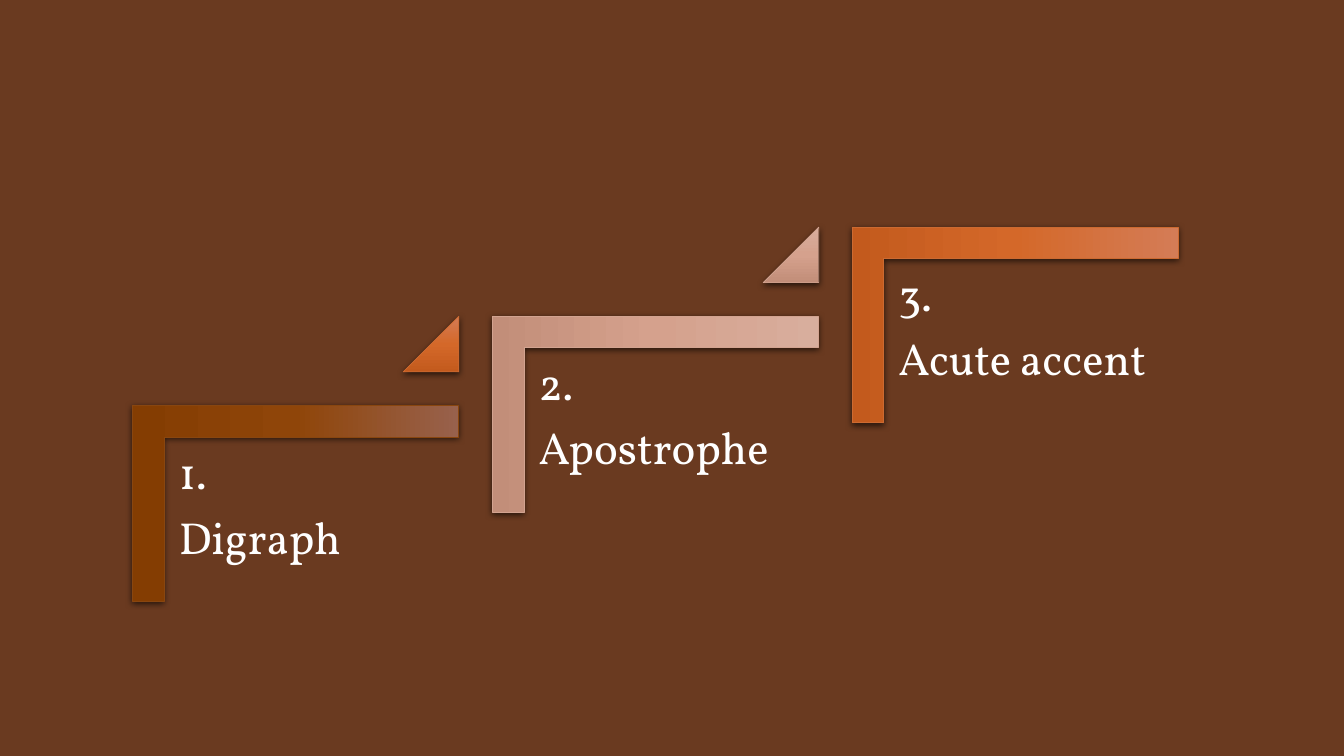
import dataclasses

import pptx
import pptx.dml.color
import pptx.enum.shapes
import pptx.enum.text
import pptx.oxml
import pptx.oxml.ns
import pptx.shapes.autoshape
import pptx.slide
import pptx.util

Pt = pptx.util.Pt
RGBColor = pptx.dml.color.RGBColor
MSO_SHAPE = pptx.enum.shapes.MSO_SHAPE

BACKGROUND = RGBColor(0x6A, 0x3A, 0x20)
WHITE = RGBColor(0xFF, 0xFF, 0xFF)
FONT = "Vollkorn"
NAMESPACE = pptx.oxml.ns.nsdecls("a")

FIRST_LEFT, FIRST_TOP = 141.12, 243.2
STEP_ACROSS, STEP_UP = 257.04, 63.72
CORNER_WIDTH, CORNER_HEIGHT = 139.8, 232.6
CORNER_THICKNESS = 0.161
TRIANGLE_SIZE = 39.6


@dataclasses.dataclass(frozen=True)
class Palette:
    top: RGBColor
    middle: RGBColor
    bottom: RGBColor
    outline: RGBColor


@dataclasses.dataclass(frozen=True)
class Step:
    number: str
    label: str
    palette: Palette


BROWN = Palette(RGBColor(0x98, 0x61, 0x4C), RGBColor(0x8F, 0x45, 0x09),
                RGBColor(0x84, 0x3D, 0x02), RGBColor(0x89, 0x46, 0x0F))
ORANGE = Palette(RGBColor(0xD4, 0x7C, 0x56), RGBColor(0xD4, 0x68, 0x29),
                 RGBColor(0xC3, 0x5A, 0x1D), RGBColor(0xCC, 0x6A, 0x31))
ROSE = Palette(RGBColor(0xD8, 0xAE, 0x9D), RGBColor(0xD5, 0xA1, 0x8D),
               RGBColor(0xC2, 0x8E, 0x79), RGBColor(0xD2, 0xA3, 0x90))

STEPS = [
    Step("1.", "Digraph", BROWN),
    Step("2.", "Apostrophe", ROSE),
    Step("3.", "Acute accent", ORANGE),
]


def apply_palette(shape: pptx.shapes.autoshape.Shape, palette: Palette) -> None:
    """Give the shape a three-stop gradient, a thin outline and a soft shadow."""
    colors = (palette.top, palette.middle, palette.bottom)
    stops = "".join(
        f'<a:gs pos="{index * 50000}"><a:srgbClr val="{color}"/></a:gs>'
        for index, color in enumerate(colors)
    )
    gradient = pptx.oxml.parse_xml(
        f'<a:gradFill {NAMESPACE} rotWithShape="1"><a:gsLst>{stops}</a:gsLst>'
        '<a:lin ang="5400000" scaled="0"/></a:gradFill>'
    )
    shadow = pptx.oxml.parse_xml(
        f'<a:effectLst {NAMESPACE}><a:outerShdw blurRad="{Pt(4.5)}" dist="{Pt(1.5)}" '
        'dir="5400000" algn="ctr" rotWithShape="0"><a:srgbClr val="000000">'
        '<a:alpha val="63000"/></a:srgbClr></a:outerShdw></a:effectLst>'
    )
    shape.line.color.rgb = palette.outline
    shape.line.width = Pt(0.5)
    properties = shape._element.spPr
    properties.find(pptx.oxml.ns.qn("a:prstGeom")).addnext(gradient)
    properties.append(shadow)


def add_corner(slide: pptx.slide.Slide, left: float, top: float, palette: Palette) -> None:
    corner = slide.shapes.add_shape(
        MSO_SHAPE.CORNER, Pt(left), Pt(top), Pt(CORNER_WIDTH), Pt(CORNER_HEIGHT))
    corner.rotation = 90
    corner.adjustments[0] = CORNER_THICKNESS
    corner.adjustments[1] = CORNER_THICKNESS
    apply_palette(corner, palette)


def add_triangle(slide: pptx.slide.Slide, left: float, top: float, palette: Palette) -> None:
    triangle = slide.shapes.add_shape(
        MSO_SHAPE.ISOSCELES_TRIANGLE, Pt(left), Pt(top), Pt(TRIANGLE_SIZE), Pt(TRIANGLE_SIZE))
    triangle.adjustments[0] = 1
    apply_palette(triangle, palette)


def add_text(slide: pptx.slide.Slide, lines: list[str], *, left: float, top: float,
             width: float, height: float, size: float, color: RGBColor,
             inset: float, space_after_percent: int) -> None:
    box = slide.shapes.add_textbox(Pt(left), Pt(top), Pt(width), Pt(height))
    frame = box.text_frame
    frame.word_wrap = True
    frame.vertical_anchor = pptx.enum.text.MSO_ANCHOR.TOP
    frame.margin_left = frame.margin_right = Pt(inset)
    frame.margin_top = frame.margin_bottom = Pt(inset)
    frame.text = "\n".join(lines)
    for paragraph in frame.paragraphs:
        paragraph.line_spacing = 0.9
        paragraph._p.pPr.append(pptx.oxml.parse_xml(
            f'<a:spcAft {NAMESPACE}><a:spcPct val="{space_after_percent * 1000}"/></a:spcAft>'))
        font = paragraph.runs[0].font
        font.name = FONT
        font.size = Pt(size)
        font.color.rgb = color


def main() -> None:
    presentation = pptx.Presentation()
    presentation.slide_width = Pt(960)
    presentation.slide_height = Pt(540)
    slide = presentation.slides.add_slide(presentation.slide_layouts.get_by_name("Blank"))
    slide.background.fill.solid()
    slide.background.fill.fore_color.rgb = BACKGROUND

    triangle_palettes = [ORANGE, ROSE]
    for index, step in enumerate(STEPS):
        left = FIRST_LEFT + index * STEP_ACROSS
        top = FIRST_TOP - index * STEP_UP
        add_corner(slide, left, top, step.palette)
        add_text(slide, [step.number, step.label], left=left - 23.04, top=top + 69.5,
                 width=210.24, height=184.32, size=32, color=WHITE,
                 inset=9.6, space_after_percent=35)
        if index < len(triangle_palettes):
            add_triangle(slide, left + 147, top - 17.2, triangle_palettes[index])

    presentation.save("out.pptx")


if __name__ == "__main__":
    main()
